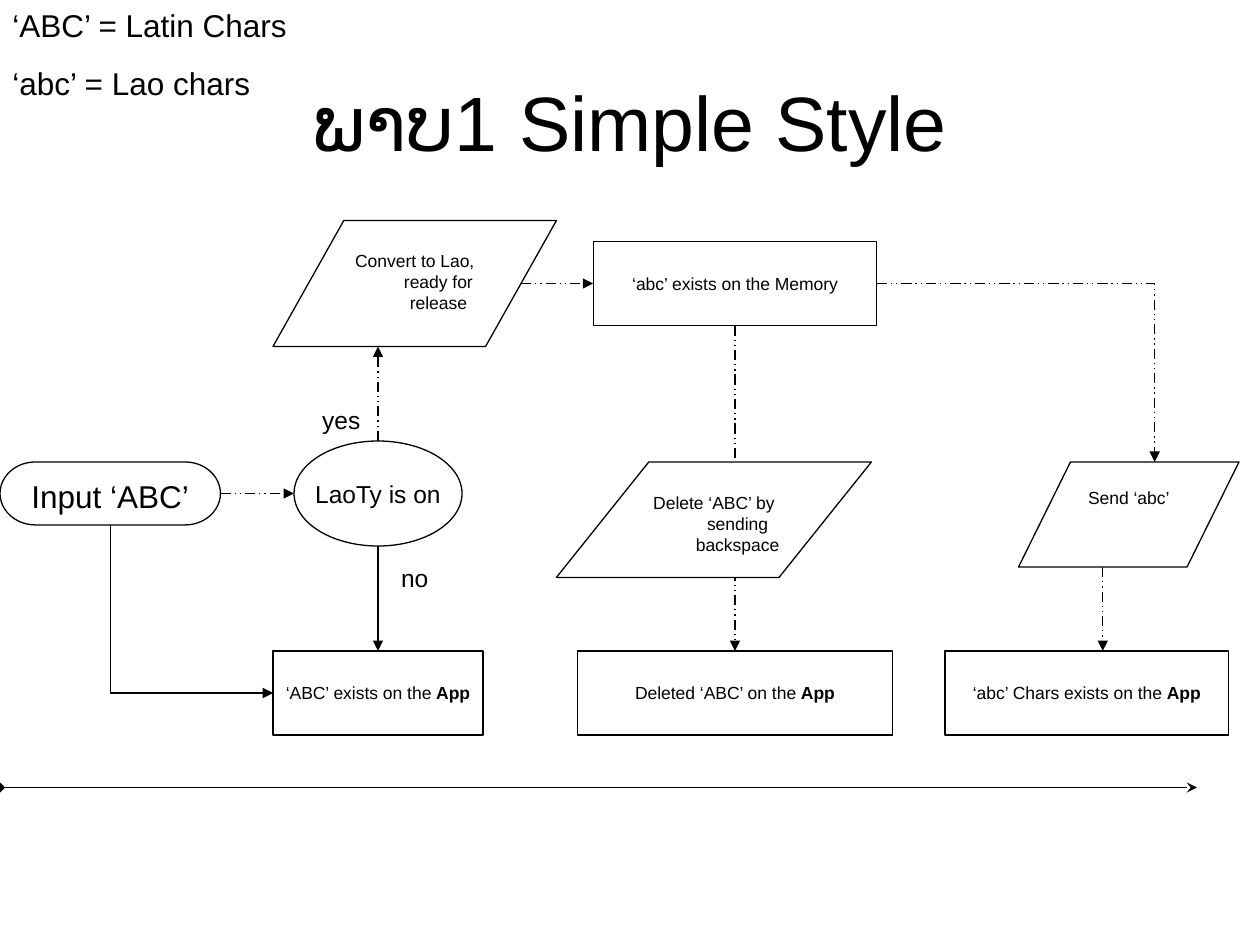
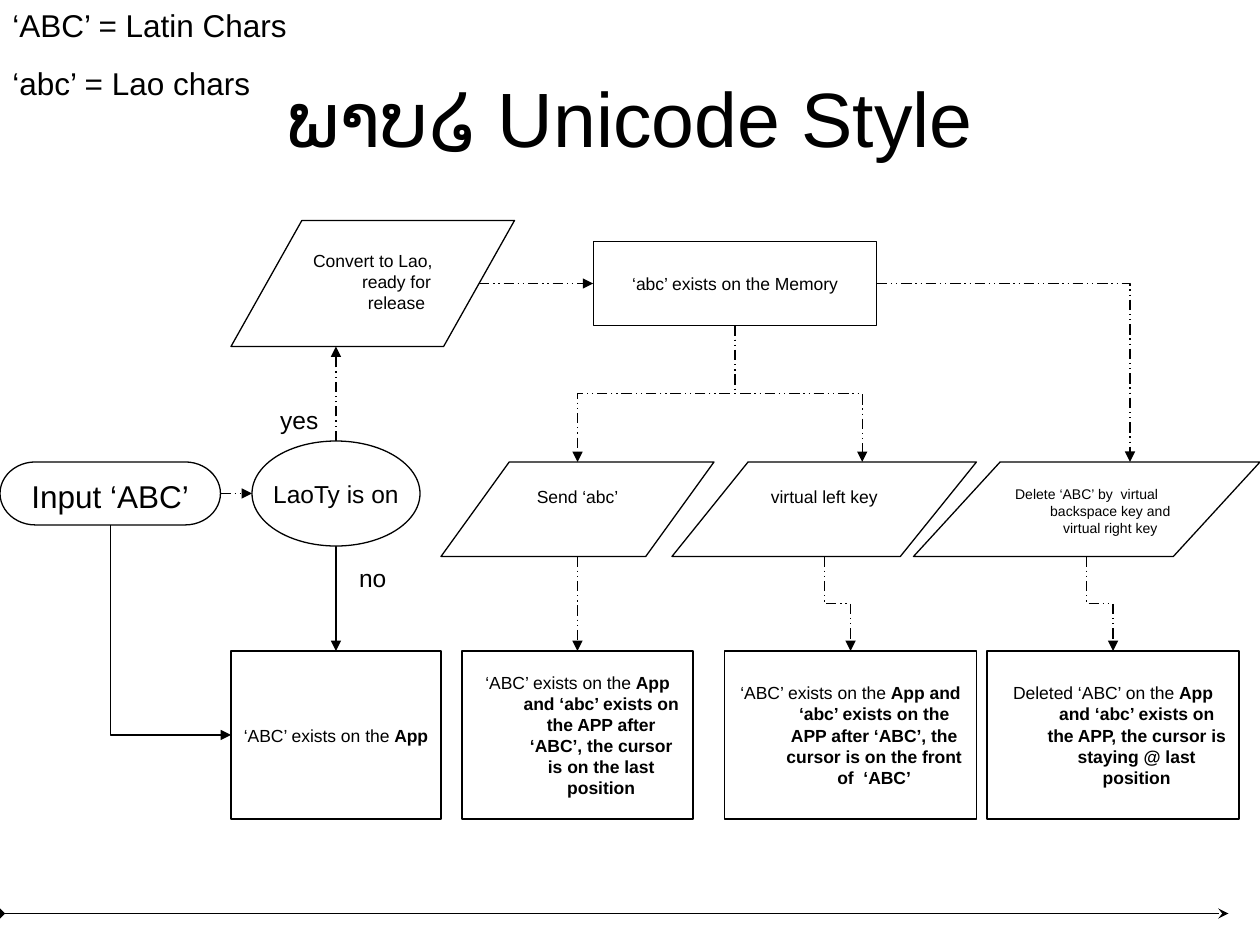
from lxml import etree
from pptx import Presentation, util as u
from pptx.dml.color import RGBColor
from pptx.enum import dml, shapes, text
from pptx.oxml.ns import qn

COLORS = {"ink": "000000", "paper": "FFFFFF"}
FONT = "Arial"
LINE_WIDTH = u.Pt(0.75)
UNITS_PER_INCH = 12  # the flowchart sits on a grid of 12 units to the inch
HANG = 4.5  # hanging indent of body text, in grid units

PRESET = shapes.MSO_SHAPE
TOP, MIDDLE = text.MSO_ANCHOR.TOP, text.MSO_ANCHOR.MIDDLE
LEFT, CENTER = text.PP_ALIGN.LEFT, text.PP_ALIGN.CENTER

TEXT_STYLES = {
    "title": dict(size=44, before=0, anchor=MIDDLE, wrap=True, align=CENTER, hang=0),
    "legend": dict(size=18, before=11.2, anchor=TOP, wrap=True, align=LEFT, hang=HANG),
    "answer": dict(size=14, before=8.8, anchor=TOP, wrap=True, align=CENTER, hang=HANG),
    "start": dict(size=18, before=4.5, anchor=TOP, wrap=True, align=CENTER, hang=HANG),
    "decision": dict(size=14, before=3.5, anchor=MIDDLE, wrap=False, align=CENTER, hang=HANG),
    "action": dict(size=10, before=2.5, anchor=TOP, wrap=True, align=CENTER, hang=HANG),
    "small_action": dict(size=8, before=2, anchor=TOP, wrap=True, align=CENTER, hang=HANG),
    "state": dict(size=10, before=2.5, anchor=MIDDLE, wrap=False, align=CENTER, hang=HANG),
    "long_state": dict(size=10, before=2.5, anchor=MIDDLE, wrap=True, align=CENTER, hang=HANG),
}
NODE_SHAPES = {
    "start": PRESET.FLOWCHART_TERMINATOR,
    "decision": PRESET.OVAL,
    "action": PRESET.PARALLELOGRAM,
    "small_action": PRESET.PARALLELOGRAM,
    "state": PRESET.RECTANGLE,
    "long_state": PRESET.RECTANGLE,
}

LEGEND = [("‘ABC’ = Latin Chars",), ("‘abc’ = Lao chars",)]

# Nodes: kind, box in grid units, (plain text, bold text), optional slant width.
# Links: route, start (node, side), end (node, side), dashed.
COMMON_LINKS = [
    ("across", ("input", "right"), ("decision", "left"), True),
    ("down_across", ("input", "bottom"), ("latin", "left"), False),
    ("down", ("decision", "top"), ("convert", "bottom"), True),
    ("down", ("decision", "bottom"), ("latin", "top"), False),
    ("across", ("convert", "right"), ("memory", "left"), True),
]
SLIDES = [
    dict(
        title="ພາບ1 Simple Style", title_top=4, shift=0, state_height=8,
        timeline=(75, 114),
        nodes={
            "delete": ("action", (53, 44, 30, 11), ("Delete ‘ABC’ by sending backspace",), 8.8),
            "send": ("action", (97, 44, 21, 10), ("Send ‘abc’",), 4.95),
            "deleted": ("state", (55, 62, 30, 8), ("Deleted ‘ABC’ on the ", "App")),
            "lao": ("state", (90, 62, 27, 8), ("‘abc’ Chars exists on the ", "App")),
        },
        links=[
            ("down", ("memory", "bottom"), ("deleted", "top"), True),
            ("across_down", ("memory", "right"), ("send", "top"), True),
            ("down", ("send", "bottom"), ("lao", "top"), True),
        ],
    ),
    dict(
        title="ພາບ໒ Unicode Style", title_top=3.6, shift=-4, state_height=16,
        timeline=(87, 117),
        nodes={
            "send": ("action", (42, 44, 26, 9), ("Send ‘abc’",)),
            "left_key": ("action", (64, 44, 29, 9), ("virtual left key",)),
            "delete": ("small_action", (87, 44, 33, 9),
                       ("Delete ‘ABC’ by  virtual backspace key and virtual right key",)),
            "sent": ("long_state", (44, 62, 22, 16),
                     ("‘ABC’ exists on the ",
                      "App and ‘abc’ exists on the APP after ‘ABC’, "
                      "the cursor is on the last position")),
            "moved": ("long_state", (69, 62, 24, 16),
                      ("‘ABC’ exists on the ",
                       "App and ‘abc’ exists on the APP after ‘ABC’, "
                       "the cursor is on the front of  ‘ABC’")),
            "deleted": ("long_state", (94, 62, 24, 16),
                        ("Deleted ‘ABC’ on the ",
                         "App and ‘abc’ exists on the APP, "
                         "the cursor is staying @ last position")),
        },
        links=[
            ("step_down", ("memory", "bottom"), ("send", "head"), True),
            ("step_down", ("memory", "bottom"), ("left_key", "top"), True),
            ("across_down", ("memory", "right"), ("delete", "top"), True),
            ("down", ("send", "foot"), ("sent", "top"), True),
            ("step_down", ("left_key", "foot"), ("moved", "top"), True),
            ("step_down", ("delete", "foot"), ("deleted", "top"), True),
        ],
    ),
]


def grid(n):
    return u.Cm(n * 2.54 / UNITS_PER_INCH)


def rgb(name):
    return RGBColor.from_string(COLORS[name])


def common_nodes(shift, state_height):
    return {
        "input": ("start", (0, 44, 21, 6), ("Input ‘ABC’",)),
        "decision": ("decision", (28 + shift, 42, 16, 10), ("LaoTy is on",)),
        "convert": ("action", (26 + shift, 21, 27, 12), ("Convert to Lao, ready for release",)),
        "memory": ("state", (56.5, 23, 27, 8), ("‘abc’ exists on the Memory",)),
        "latin": ("state", (26 + shift, 62, 20, state_height), ("‘ABC’ exists on the ", "App")),
    }


def slant(node):
    """Width by which a parallelogram leans; zero for other shapes."""
    kind, (_, _, w, _), _, *lean = node
    if NODE_SHAPES[kind] != PRESET.PARALLELOGRAM:
        return 0
    return lean[0] if lean else w / 4


def side_point(node, side):
    """Middle of a side; head and foot lie at the middle of the whole width."""
    x, y, w, h = node[1]
    lean = slant(node) / 2
    mid = x + w / 2
    return {
        "left": (x + lean, y + h / 2),
        "right": (x + w - lean, y + h / 2),
        "top": (mid + lean, y),
        "bottom": (mid - lean, y + h),
        "head": (mid, y),
        "foot": (mid, y + h),
    }[side]


def write(s, paragraphs, style):
    """Each paragraph is a plain run, then an optional bold one."""
    look = TEXT_STYLES[style]
    tf = s.text_frame
    tf.word_wrap = look["wrap"]
    tf.vertical_anchor = look["anchor"]
    for i, runs in enumerate(paragraphs):
        p = tf.add_paragraph() if i else tf.paragraphs[0]
        p.alignment = look["align"]
        p.space_before = u.Pt(look["before"])
        pPr = p._p.get_or_add_pPr()
        pPr.set("marL", str(grid(look["hang"])))
        pPr.set("indent", str(-grid(look["hang"])))
        for bold, words in enumerate(runs):
            r = p.add_run()
            r.text = words
            r.font.color.rgb = rgb("ink")
            values = dict(name=FONT, size=u.Pt(look["size"]), bold=bool(bold))
            for key, value in values.items():
                setattr(r.font, key, value)


def add_text(slide, box, paragraphs, style):
    write(slide.shapes.add_textbox(*map(grid, box)), paragraphs, style)


def add_node(slide, node):
    kind, box, runs = node[:3]
    s = slide.shapes.add_shape(NODE_SHAPES[kind], *map(grid, box))
    s.shadow.inherit = False
    if NODE_SHAPES[kind] == PRESET.RECTANGLE:
        s.fill.background()
    else:
        s.fill.solid()
        s.fill.fore_color.rgb = rgb("paper")
    if slant(node):
        s.adjustments[0] = slant(node) / min(box[2:])
    s.line.color.rgb = rgb("ink")
    s.line.width = LINE_WIDTH
    write(s, [runs], kind)


def add_line(slide, start, end, kind="STRAIGHT", dashed=False, head=None, tail="triangle"):
    c = slide.shapes.add_connector(
        getattr(shapes.MSO_CONNECTOR, kind), *map(grid, (*start, *end)))
    c.line.color.rgb = rgb("ink")
    c.line.width = LINE_WIDTH
    if dashed:
        c.line.dash_style = dml.MSO_LINE.DASH_DOT_DOT
    ln = c._element.spPr.find(qn("a:ln"))
    for tag, arrow in (("a:headEnd", head), ("a:tailEnd", tail)):
        if arrow:
            etree.SubElement(ln, qn(tag)).set("type", arrow)
    etree.SubElement(c._element.spPr, qn("a:effectLst"))
    return c


def add_link(slide, nodes, route, start, end, dashed):
    (x1, y1), (x2, y2) = (side_point(nodes[name], side) for name, side in (start, end))
    if route == "down":
        add_line(slide, (x1, y1), (x1, y2), dashed=dashed)
        return
    if route == "across":
        add_line(slide, (x1, y1), (x2, y1), dashed=dashed)
        return
    c = add_line(slide, (x1, y1), (x2, y2), "ELBOW", dashed)
    if route != "step_down":
        c._element.spPr.find(qn("a:prstGeom")).set("prst", "bentConnector2")
    if route != "across_down":
        turn_downwards(c, x1, y1, x2, y2)


def turn_downwards(c, x1, y1, x2, y2):
    """Rotate an elbow so that it leaves its start vertically."""
    w, h = abs(y2 - y1), abs(x2 - x1)
    place = dict(left=(x1 + x2 - w) / 2, top=(y1 + y2 - h) / 2, width=w, height=h)
    for key, value in place.items():
        setattr(c, key, grid(value))
    rightwards = x2 > x1
    xfrm = c._element.spPr.find(qn("a:xfrm"))
    xfrm.set("rot", str((270 if rightwards else 90) * 60000))
    xfrm.set("flipH", str(int(rightwards)))


def build_slide(prs, page):
    slide = prs.slides.add_slide(prs.slide_layouts[6])
    shift = page["shift"]
    nodes = {**common_nodes(shift, page["state_height"]), **page["nodes"]}
    add_text(slide, (6, page["title_top"], 108, 15), [(page["title"],)], "title")
    add_text(slide, (0, 0, 36, 10.3), LEGEND, "legend")
    for link in COMMON_LINKS + page["links"]:
        add_link(slide, nodes, *link)
    for node in nodes.values():
        add_node(slide, node)
    for answer, x, y in (("yes", 29, 38), ("no", 36, 53)):
        add_text(slide, (x + shift, y, 7, 4), [(answer,)], "answer")
    y, right = page["timeline"]
    add_line(slide, (0, y), (right, y), head="diamond", tail="stealth")


def main():
    prs = Presentation()
    prs.slide_width, prs.slide_height = u.Cm(25.4), u.Cm(19.05)
    for page in SLIDES:
        build_slide(prs, page)
    prs.save("out.pptx")


if __name__ == "__main__":
    main()
